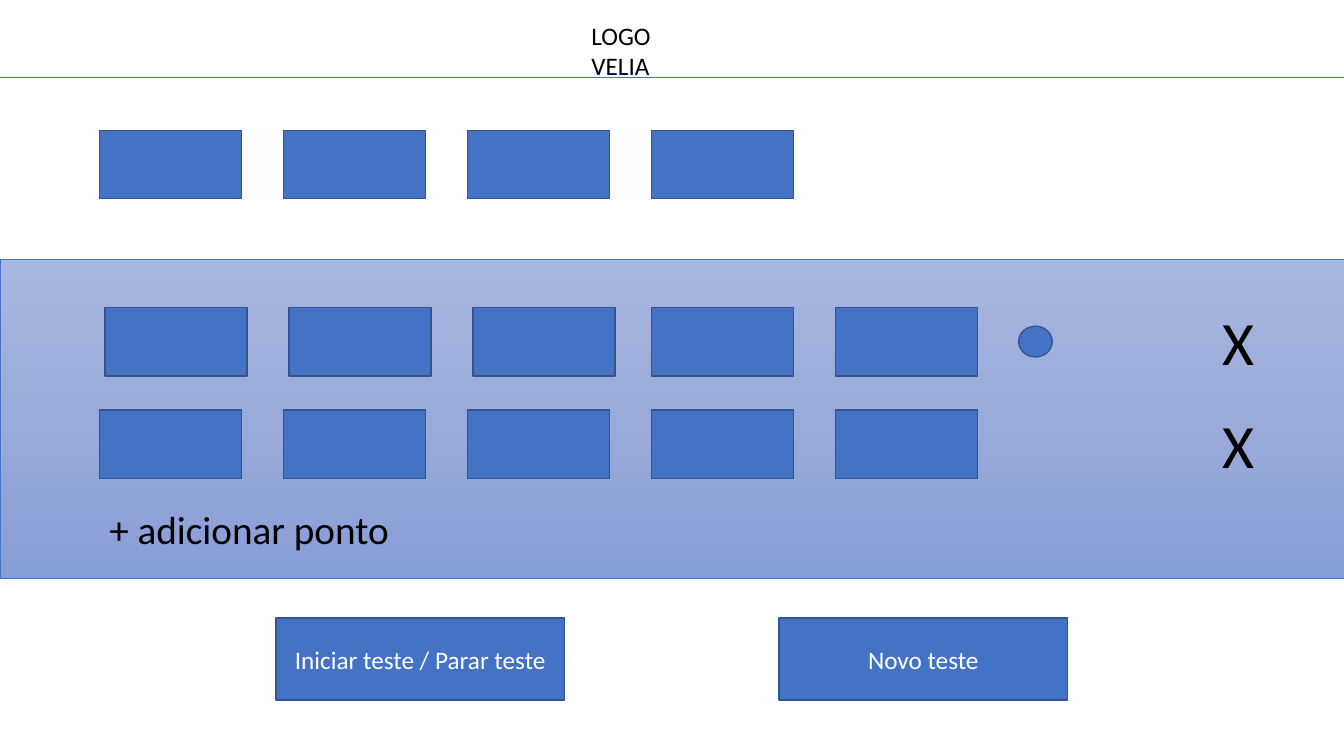
import copy

import pptx
import pptx.dml.color
import pptx.enum.shapes
import pptx.enum.text
import pptx.oxml
import pptx.util

Pt = pptx.util.Pt
SHAPES = pptx.enum.shapes.MSO_SHAPE
ALIGN = pptx.enum.text.PP_ALIGN
BLUE, EDGE, BLACK, WHITE = "4472C4", "325491", "000000", "FFFFFF"
FIELD_WIDTH, FIELD_HEIGHT, FIELD_PITCH = 101.5, 49, 131.4


def color(hex_value):
    """Turn a hex string into a colour."""
    return pptx.dml.color.RGBColor.from_string(hex_value)


def apply(target, formats):
    """Set each attribute named in formats on target."""
    for name, value in formats.items():
        setattr(target, name, value)


def write(frame, text, size, hex_value, align=ALIGN.LEFT):
    """Put one formatted paragraph in a text frame."""
    paragraph = frame.paragraphs[0]
    paragraph.alignment = align
    run = paragraph.add_run()
    apply(run, {"text": text})
    apply(run.font, {"name": "Calibri", "size": Pt(size)})
    run.font.color.rgb = color(hex_value)


def add_label(slide, box, text, size, wrap=False):
    """Add a text box that grows with its text."""
    label = slide.shapes.add_textbox(*map(Pt, box))
    apply(label.text_frame, {
        "word_wrap": wrap,
        "auto_size": pptx.enum.text.MSO_AUTO_SIZE.SHAPE_TO_FIT_TEXT,
    })
    write(label.text_frame, text, size, BLACK)


def add_block(slide, box, kind=SHAPES.RECTANGLE, edge=EDGE, weight=1):
    """Add a blue outlined shape without shadow."""
    block = slide.shapes.add_shape(kind, *map(Pt, box))
    block.shadow.inherit = False
    block.fill.solid()
    block.fill.fore_color.rgb = color(BLUE)
    block.line.color.rgb = color(edge)
    block.line.width = Pt(weight)
    return block


def add_fields(slide, left, top, shifts):
    """Add a row of evenly spaced fields, each moved by its shift."""
    for column, shift in enumerate(shifts):
        field_left = left + column * FIELD_PITCH + shift
        add_block(slide, (field_left, top, FIELD_WIDTH, FIELD_HEIGHT))


def add_header(slide, left, top, width, height):
    """Add the logo wording and the rule under it."""
    add_label(slide, (left + 415.3, top + 10.8, 101, 29), "LOGO VELIA", 18)
    rule = slide.shapes.add_connector(
        pptx.enum.shapes.MSO_CONNECTOR.STRAIGHT,
        Pt(left), Pt(top + height), Pt(left + width), Pt(top + height))
    rule.line.color.rgb = color(BLUE)
    rule.line.width = Pt(0.5)
    properties = rule.element.spPr
    properties.append(properties.makeelement(pptx.oxml.ns.qn("a:effectLst")))


def add_points_panel(slide, left, top, width, height):
    """Add the shaded panel with its rows of test points."""
    panel = add_block(slide, (left, top, width, height), edge=BLUE, weight=0.5)
    panel.fill.gradient()
    panel.fill.gradient_angle = 270
    first_stop = panel.element.xpath(".//a:gs")[0]
    middle_stop = copy.deepcopy(first_stop)
    middle_stop.set("pos", "50000")
    first_stop.addnext(middle_stop)
    for stop, shade in zip(panel.fill.gradient_stops, ("A8B7DF", "9AABD9", "889ED7")):
        stop.color.rgb = color(shade)

    for row_top, shifts in ((34.5, (4, 4, 4, 0, 0)), (108, (0,) * 5)):
        add_fields(slide, left + 70.4, top + row_top, shifts)
        add_label(slide, (left + 865.5, top + row_top - 6, 37.5, 60.5), "X", 44)
    add_block(slide, (left + 727, top + 48, 24, 22), SHAPES.OVAL)
    add_label(slide, (left + 70.4, top + 172.6, 252.7, 41), "+ adicionar ponto", 28, True)


def add_buttons(slide, left, top, width, height):
    """Add the test buttons at the two ends of the box."""
    button_width = 206
    captions = {left: "Iniciar teste / Parar teste", left + width - button_width: "Novo teste"}
    for button_left, caption in captions.items():
        button = add_block(slide, (button_left, top, button_width, height))
        button.text_frame.vertical_anchor = pptx.enum.text.MSO_ANCHOR.MIDDLE
        write(button.text_frame, caption, 18, WHITE, ALIGN.CENTER)


def main():
    """Build the test screen and save it."""
    deck = pptx.Presentation()
    apply(deck, {"slide_width": Pt(960), "slide_height": Pt(540)})
    slide = deck.slides.add_slide(deck.slide_layouts[6])
    add_points_panel(slide, 0.6, 185, 960, 228)
    add_header(slide, 0, 0, 960, 55.4)
    add_fields(slide, 71, 93, (0,) * 4)
    add_buttons(slide, 197.2, 441.3, 565.3, 58.7)
    deck.save("out.pptx")


if __name__ == "__main__":
    main()
